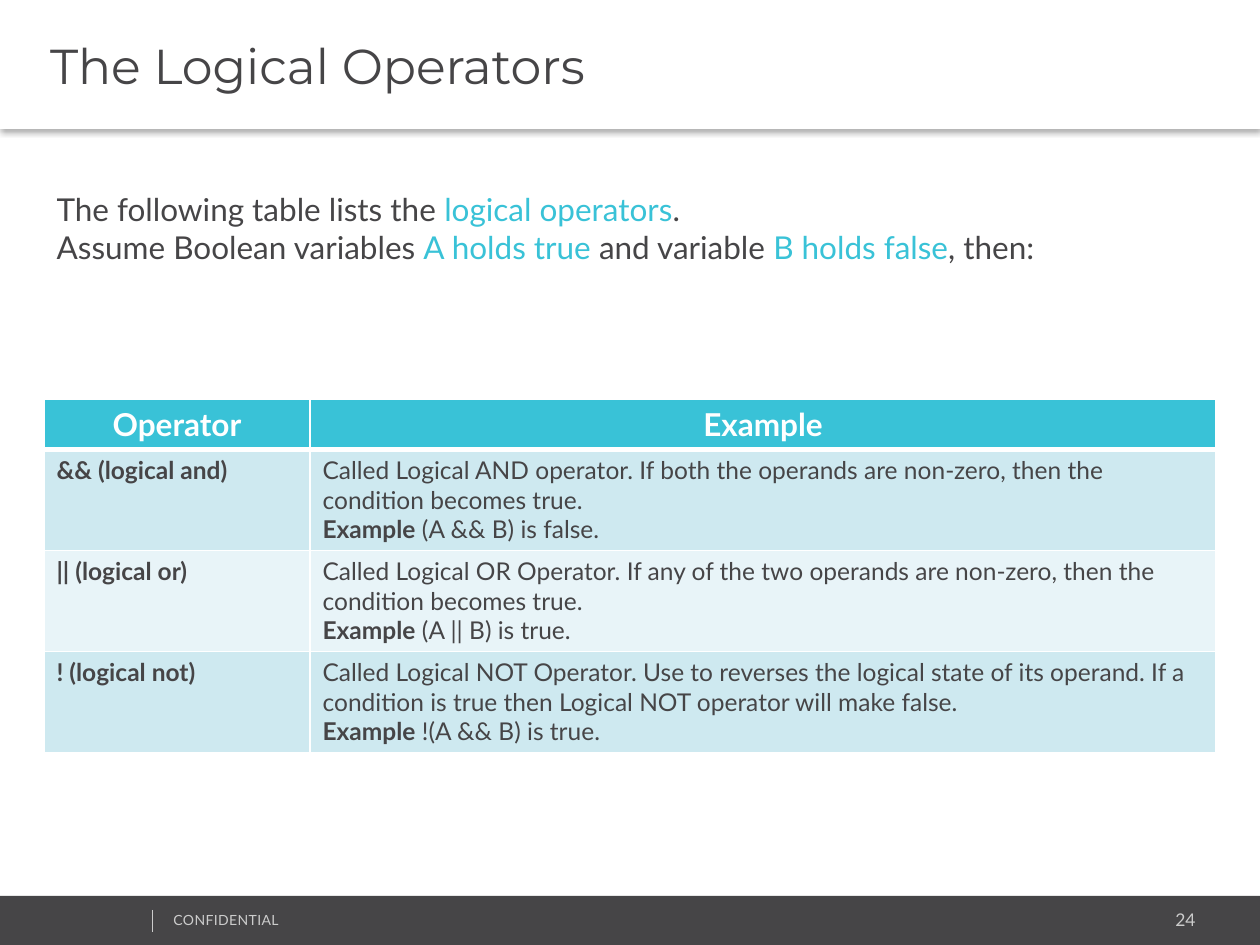
from dataclasses import dataclass

from lxml.etree import SubElement
from pptx import Presentation
from pptx.dml.color import RGBColor
from pptx.enum.shapes import MSO_CONNECTOR, MSO_SHAPE
from pptx.enum.text import MSO_ANCHOR, MSO_AUTO_SIZE, PP_ALIGN
from pptx.oxml.ns import qn
from pptx.util import Pt

COLORS = {
    "dark": "464547", "teal": "39C2D7", "pale": "CEE9F0", "light": "E8F4F8",
    "grey": "CCCCCC", "white": "FFFFFF", "black": "000000",
}
SCALE = 914400 / 126  # EMU in one px


@dataclass
class Span:
    text: str
    color: str | None = None
    bold: bool | None = None


@dataclass
class Style:
    size: int
    color: str = "dark"
    face: str = "Lato"
    bold: bool | None = None
    align: PP_ALIGN = PP_ALIGN.LEFT


@dataclass
class Rule:
    name: str
    text: str
    case: str


RULES = [
    Rule("&& (logical and)",
         "Called Logical AND operator. If both the operands are non-zero, "
         "then the condition becomes true.", "(A && B) is false."),
    Rule("|| (logical or)",
         "Called Logical OR Operator. If any of the two operands are non-zero, "
         "then the condition becomes true.", "(A || B) is true."),
    Rule("! (logical not)",
         "Called Logical NOT Operator. Use to reverses the logical state of its "
         "operand. If a condition is true then Logical NOT operator will make false.",
         "!(A && B) is true."),
]


def px(n: int) -> int:
    return round(n * SCALE)


def rgb(key: str) -> RGBColor:
    return RGBColor.from_string(COLORS[key])


def paint(item, key: str) -> None:
    item.fill.solid()
    item.fill.fore_color.rgb = rgb(key)


def place(shape, left: int, top: int, width: int, height: int) -> None:
    shape.left, shape.top = px(left), px(top)
    shape.width, shape.height = px(width), px(height)


def write(frame, lines: list[list[Span]], style: Style, plain: bool = False) -> None:
    """Fill a frame with paragraphs; plain removes the template's bullets."""
    for i, spans in enumerate(lines):
        para = frame.add_paragraph() if i else frame.paragraphs[0]
        para.alignment = style.align
        if plain:
            props = para._p.get_or_add_pPr()
            props.set("marL", "0")
            props.set("indent", "0")
            para.space_before = Pt(0)
            SubElement(props, qn("a:buNone"))
        font = para.font
        font.name, font.size, font.bold = style.face, Pt(style.size), style.bold
        font.color.rgb = rgb(style.color)
        for span in spans:
            run = para.add_run()
            run.text = span.text
            if span.color:
                run.font.color.rgb = rgb(span.color)
            if span.bold is not None:
                run.font.bold = span.bold


def label(slide, box: tuple[int, int, int, int], text: str, style: Style):
    shape = slide.shapes.add_textbox(*map(px, box))
    shape.text_frame.word_wrap = True
    write(shape.text_frame, [[Span(text)]], style)
    return shape.text_frame


def shade(shape) -> None:
    """Cast a soft shadow downwards."""
    effects = SubElement(shape._element.spPr, qn("a:effectLst"))
    outer = SubElement(effects, qn("a:outerShdw"), blurRad=str(Pt(3.1)),
                       dist=str(Pt(2)), dir="5400000", algn="t", rotWithShape="0")
    color = SubElement(outer, qn("a:srgbClr"), val=COLORS["black"])
    SubElement(color, qn("a:alpha"), val="30000")


def edge(cell, top: int, base: int) -> None:
    """Give a cell white borders; top and base are widths in points."""
    props = cell._tc.get_or_add_tcPr()
    for side, width in (("L", 1), ("R", 1), ("T", top), ("B", base)):
        line = SubElement(props, qn(f"a:ln{side}"), w=str(Pt(width)))
        fill = SubElement(line, qn("a:solidFill"))
        SubElement(fill, qn("a:srgbClr"), val=COLORS["white"])


def footer(slide) -> None:
    bar = slide.shapes.add_shape(MSO_SHAPE.RECTANGLE, *map(px, (0, 896, 1260, 49)))
    bar.shadow.inherit = False
    paint(bar, "dark")
    bar.line.fill.background()
    label(slide, (1003, 903, 205, 34), "24", Style(10, "grey", align=PP_ALIGN.RIGHT))
    note = label(slide, (161, 905, 319, 30), "CONFIDENTIAL", Style(8, "grey"))
    note.paragraphs[0].runs[0]._r.get_or_add_rPr().set("spc", "20")
    mark = slide.shapes.add_connector(
        MSO_CONNECTOR.STRAIGHT, *map(px, (152, 910, 152, 932)))
    mark.line.color.rgb = rgb("grey")
    mark.line.width = Pt(0.25)
    SubElement(mark._element.spPr, qn("a:effectLst"))


def heading(slide) -> None:
    title = slide.shapes.title
    place(title, 0, 0, 1260, 129)
    paint(title, "white")
    shade(title)
    frame = title.text_frame
    frame.margin_left = px(50)
    frame.vertical_anchor = MSO_ANCHOR.MIDDLE
    write(frame, [[Span("The Logical Operators")]], Style(28, face="Montserrat"))


def intro(slide) -> None:
    body = slide.placeholders[1]
    place(body, 44, 184, 1200, 89)
    body.text_frame.auto_size = MSO_AUTO_SIZE.NONE
    write(body.text_frame, [
        [Span("The following table lists the "), Span("logical operators", "teal"),
         Span(".")],
        [Span("Assume Boolean variables "), Span("A holds true ", "teal"),
         Span("and variable "), Span("B holds false", "teal"), Span(", then:")],
    ], Style(18), plain=True)


def grid(slide) -> None:
    shape = slide.shapes.add_table(
        len(RULES) + 1, 2, *map(px, (44, 399, 1172, 353)))
    table = shape.table
    for col, width in zip(table.columns, (266, 906)):
        col.width = px(width)
    for i, row in enumerate(table.rows):
        row.height = px(101 if i else 50)
        for cell in row.cells:
            edge(cell, 3 if i == 1 else 1, 1 if i else 3)
            paint(cell, ("pale" if i % 2 else "light") if i else "teal")
    # Header row
    for col, text in enumerate(("Operator", "Example")):
        write(table.cell(0, col).text_frame, [[Span(text)]],
              Style(18, "white", bold=True, align=PP_ALIGN.CENTER))
    # One row for each operator
    for i, rule in enumerate(RULES, 1):
        write(table.cell(i, 0).text_frame, [[Span(rule.name)]], Style(14, bold=True))
        write(table.cell(i, 1).text_frame, [
            [Span(rule.text)],
            [Span("Example", bold=True), Span(" " + rule.case)],
        ], Style(14, bold=False))


def main() -> None:
    deck = Presentation()
    deck.slide_width, deck.slide_height = px(1260), px(945)
    slide = deck.slides.add_slide(deck.slide_layouts[1])
    footer(slide)
    heading(slide)
    grid(slide)
    intro(slide)
    deck.save("out.pptx")


if __name__ == "__main__":
    main()
